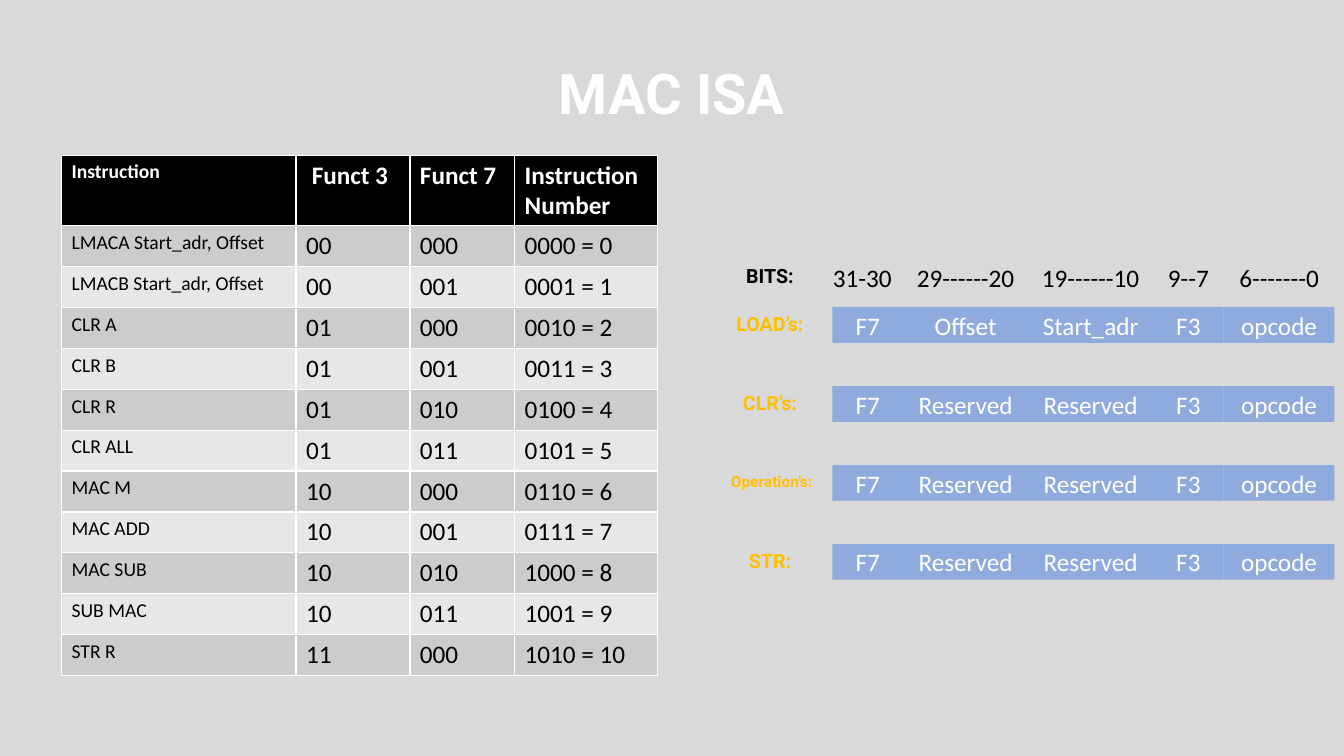
import dataclasses
import itertools

import pptx
import pptx.dml.color
import pptx.enum.shapes
import pptx.enum.text
import pptx.util

Cm = pptx.util.Cm


@dataclasses.dataclass(frozen=True)
class Theme:
    back: str = "D9D9D9"
    white: str = "FFFFFF"
    black: str = "000000"
    gold: str = "FFC000"
    blue: str = "8FAADC"
    bands: tuple = ("CCCCCC", "E7E7E7")
    head: str = "Roboto"
    body: str = "Calibri"
    title: int = 40
    large: int = 18
    small: int = 14
    tiny: int = 11


def paint(fill, color):
    fill.solid()
    fill.fore_color.rgb = pptx.dml.color.RGBColor.from_string(color)


class Deck:
    """Holds the theme and the slide being drawn."""

    def __init__(self, theme):
        self.theme = theme
        self.file = pptx.Presentation()
        self.file.slide_width = Cm(33.87)
        self.file.slide_height = Cm(19.05)
        self.slide = self.file.slides.add_slide(self.file.slide_layouts[6])
        paint(self.slide.background.fill, theme.back)

    def letter(self, frame, text, size, color, face, bold=False):
        """Set the text of a frame and style its one paragraph."""
        frame.text = text
        line = frame.paragraphs[0]
        line.font.size = pptx.util.Pt(size)
        line.font.name = face
        line.font.bold = bold
        line.font.color.rgb = pptx.dml.color.RGBColor.from_string(color)
        return line

    def center(self, frame, *style):
        frame.word_wrap = True
        frame.vertical_anchor = pptx.enum.text.MSO_ANCHOR.MIDDLE
        line = self.letter(frame, *style)
        line.alignment = pptx.enum.text.PP_ALIGN.CENTER
        return line

    def label(self, home, box, text, size, color):
        """Add a bold heading to home, a slide's or group's shapes."""
        frame = home.add_textbox(*map(Cm, box)).text_frame
        line = self.center(frame, text, size, color, self.theme.head, True)
        line.line_spacing = 0.9
        line.space_after = pptx.util.Pt(6)

    def note(self, home, box, text):
        frame = home.add_textbox(*map(Cm, box)).text_frame
        self.center(frame, text, self.theme.large, self.theme.black, self.theme.body)

    def field(self, home, box, text):
        kind = pptx.enum.shapes.MSO_SHAPE.RECTANGLE
        shape = home.add_shape(kind, *map(Cm, box))
        shape.shadow.inherit = False
        paint(shape.fill, self.theme.blue)
        shape.line.fill.background()
        self.center(shape.text_frame, text, self.theme.large, self.theme.white, self.theme.body)

    def group(self):
        return self.slide.shapes.add_group_shape().shapes

    def table(self, left, top, widths, heights, rows):
        theme = self.theme
        table = self.slide.shapes.add_table(
            len(rows), len(widths), Cm(left), Cm(top), Cm(sum(widths)), Cm(sum(heights))
        ).table
        for column, width in zip(table.columns, widths):
            column.width = Cm(width)
        for r, (row, height) in enumerate(zip(rows, heights)):
            table.rows[r].height = Cm(height)
            first = r == 0
            fill = theme.black if first else theme.bands[(r - 1) % 2]
            color = theme.white if first else theme.black
            for c, text in enumerate(row):
                cell = table.cell(r, c)
                paint(cell.fill, fill)
                size = theme.large if c else theme.small
                self.letter(cell.text_frame, text, size, color, theme.body, first)


CODES = [
    ("Instruction", " Funct 3", "Funct 7", "Instruction Number"),
    ("LMACA Start_adr, Offset", "00", "000", "0000 = 0"),
    ("LMACB Start_adr, Offset", "00", "001", "0001 = 1"),
    ("CLR A", "01", "000", "0010 = 2"),
    ("CLR B", "01", "001", "0011 = 3"),
    ("CLR R", "01", "010", "0100 = 4"),
    ("CLR ALL", "01", "011", "0101 = 5"),
    ("MAC M", "10", "000", "0110 = 6"),
    ("MAC ADD", "10", "001", "0111 = 7"),
    ("MAC SUB", "10", "010", "1000 = 8"),
    ("SUB MAC", "10", "011", "1001 = 9"),
    ("STR R", "11", "000", "1010 = 10"),
]
WORDS = [
    ("LOAD’s:", "Offset", "Start_adr"),
    ("CLR’s:", "Reserved", "Reserved"),
    ("Operation’s:", "Reserved", "Reserved"),
    ("STR:", "Reserved", "Reserved"),
]
BITS = ("31-30", "29------20", "19------10", "9--7", "6-------0")
WIDTHS = (1.78, 3.15, 3.15, 1.78, 2.79)
LEFT, TOP, STEP, HIGH = 20.98, 7.74, 1.99, 0.9
NAME = (18.11, 2.59)
WIDE = (17.91, 3.07)


def main():
    theme = Theme()
    deck = Deck(theme)
    deck.label(deck.slide.shapes, (2.34, 0.94, 29.18, 3), "MAC ISA", theme.title, theme.white)
    deck.table(1.55, 3.91, (5.91, 2.87, 2.64, 3.6), [1.78] + [1.03] * 11, CODES)

    lefts = list(itertools.accumulate(WIDTHS[:-1], initial=LEFT))
    for i, (name, high, low) in enumerate(WORDS):
        home = deck.group()
        top = TOP + i * STEP
        for x, width, text in zip(lefts, WIDTHS, ("F7", high, low, "F3", "opcode")):
            deck.field(home, (x, top, width, HIGH), text)
        long = len(name) > 10
        x, width = WIDE if long else NAME
        size = theme.tiny if long else theme.small
        deck.label(home, (x, top, width, HIGH), name, size, theme.gold)

    home = deck.group()
    top = 6.53
    start = sum(NAME)
    spans = [(start, lefts[1] - start), *zip(lefts[1:], WIDTHS[1:])]
    for (x, width), text in zip(spans, BITS):
        deck.note(home, (x, top, width, HIGH), text)
    deck.label(home, (NAME[0], top, NAME[1], HIGH), "BITS:", theme.small, theme.black)
    deck.file.save("out.pptx")


if __name__ == "__main__":
    main()
